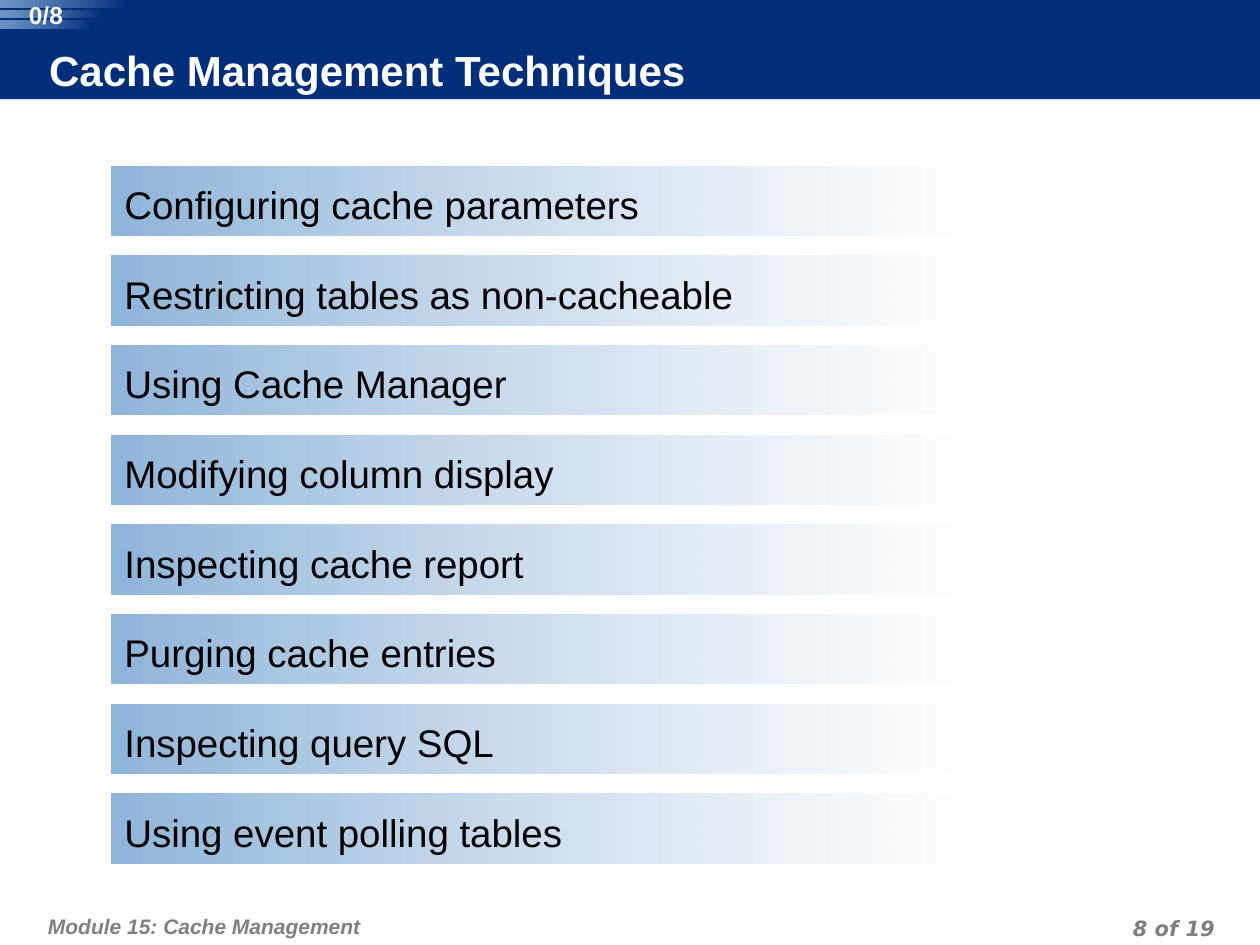
"""Build the slide that lists the cache management techniques."""
from pptx import Presentation
from pptx.dml.color import RGBColor
from pptx.enum.shapes import MSO_SHAPE as Shape
from pptx.enum.text import MSO_ANCHOR as Anchor, MSO_AUTO_SIZE as Fit, PP_ALIGN as Align
from pptx.oxml.ns import qn
from pptx.util import Pt
from lxml.etree import SubElement

TITLE = "Cache Management Techniques"
TOPICS = [
    "Configuring cache parameters",
    "Restricting tables as non-cacheable",
    "Using Cache Manager",
    "Modifying column display",
    "Inspecting cache report",
    "Purging cache entries",
    "Inspecting query SQL",
    "Using event polling tables",
]
COUNT = "0/8"
MODULE = "Module 15: Cache Management"
PAGE = "8 of 19"

NAVY, SKY, WHITE, GRAY, BLACK = "002E7A", "90B5DA", "FFFFFF", "808080", "000000"
TOP, STEP = 95.04, 51.22
STRIPES = [(0, 72.7, 4.3), (5.8, 59, 4.3), (11.5, 52.6, 5)]


def color(code):
    return RGBColor.from_string(code)


def plate(shapes, box, kind=Shape.RECTANGLE):
    shape = shapes.add_shape(kind, *map(Pt, box))
    shape.shadow.inherit = False
    shape.line.fill.background()
    if kind == Shape.ROUNDED_RECTANGLE:
        shape.adjustments[0] = 0
    return shape


def solid(shape, code):
    shape.fill.solid()
    shape.fill.fore_color.rgb = color(code)


def fade(shape, stops):
    shape.fill.gradient()
    shape.fill.gradient_angle = 180
    for stop, (code, _) in zip(shape.fill.gradient_stops, stops):
        stop.color.rgb = color(code)
    nodes = list(shape.fill._xPr.iter(qn("a:srgbClr")))
    for node, (_, alpha) in zip(nodes, stops):
        if alpha < 100:
            SubElement(node, qn("a:alpha")).set("val", str(alpha * 1000))


def write(shape, text, size, code, inset, font="Arial", bold=True, italic=False,
          align=Align.LEFT, anchor=Anchor.TOP, line=None):
    frame = shape.text_frame
    frame.text = text
    frame.word_wrap = True
    frame.auto_size = Fit.NONE
    frame.vertical_anchor = anchor
    (frame.margin_left, frame.margin_top,
     frame.margin_right, frame.margin_bottom) = map(Pt, inset)
    para = frame.paragraphs[0]
    para.alignment = align
    if line:
        para.line_spacing = Pt(line)
    face = para.runs[0].font
    face.name, face.size, face.bold, face.italic = font, Pt(size), bold, italic
    face.color.rgb = color(code)


def label(shapes, box, *args, **style):
    write(shapes.add_textbox(*map(Pt, box)), *args, **style)


def main():
    deck = Presentation()
    deck.slide_width, deck.slide_height = Pt(720), Pt(540)
    shapes = deck.slides.add_slide(deck.slide_layouts[6]).shapes

    solid(plate(shapes, (0, 0, 720, 56.7)), NAVY)
    foot = dict(italic=True, line=18)
    label(shapes, (23.8, 511.2, 445, 28.8), MODULE, 12, GRAY, (3.6, 7.2, 3.6, 3.6), **foot)
    label(shapes, (530, 519.8, 167.8, 18), PAGE, 12, GRAY, (3.6, 0, 3.6, 0),
          font="DejaVu Sans", align=Align.RIGHT, **foot)

    title = plate(shapes, (28.1, 27.4, 566.6, 28.8))
    solid(title, NAVY)
    write(title, TITLE, 24, WHITE, (0, 0, 3.6, 3.6), anchor=Anchor.MIDDLE)

    for row, topic in enumerate(TOPICS):
        bar = plate(shapes, (64, TOP + row * STEP, 479.5, 39.6), Shape.ROUNDED_RECTANGLE)
        fade(bar, [("FEFEFE", 75), (SKY, 100)])
        write(bar, topic, 22, BLACK, (7.2, 7.2, 7.2, 3.6), bold=False, anchor=Anchor.MIDDLE)

    badge = shapes.add_group_shape().shapes
    for top, wide, high in STRIPES:
        stripe = plate(badge, (0, top, wide, high), Shape.ROUNDED_RECTANGLE)
        fade(stripe, [(NAVY, 100), (SKY, 76)])
    label(badge, (7.9, 0, 36.7, 16.6), COUNT, 14, "F8F8F8", (0, 0, 0, 0), align=Align.CENTER)

    deck.save("out.pptx")


if __name__ == "__main__":
    main()
